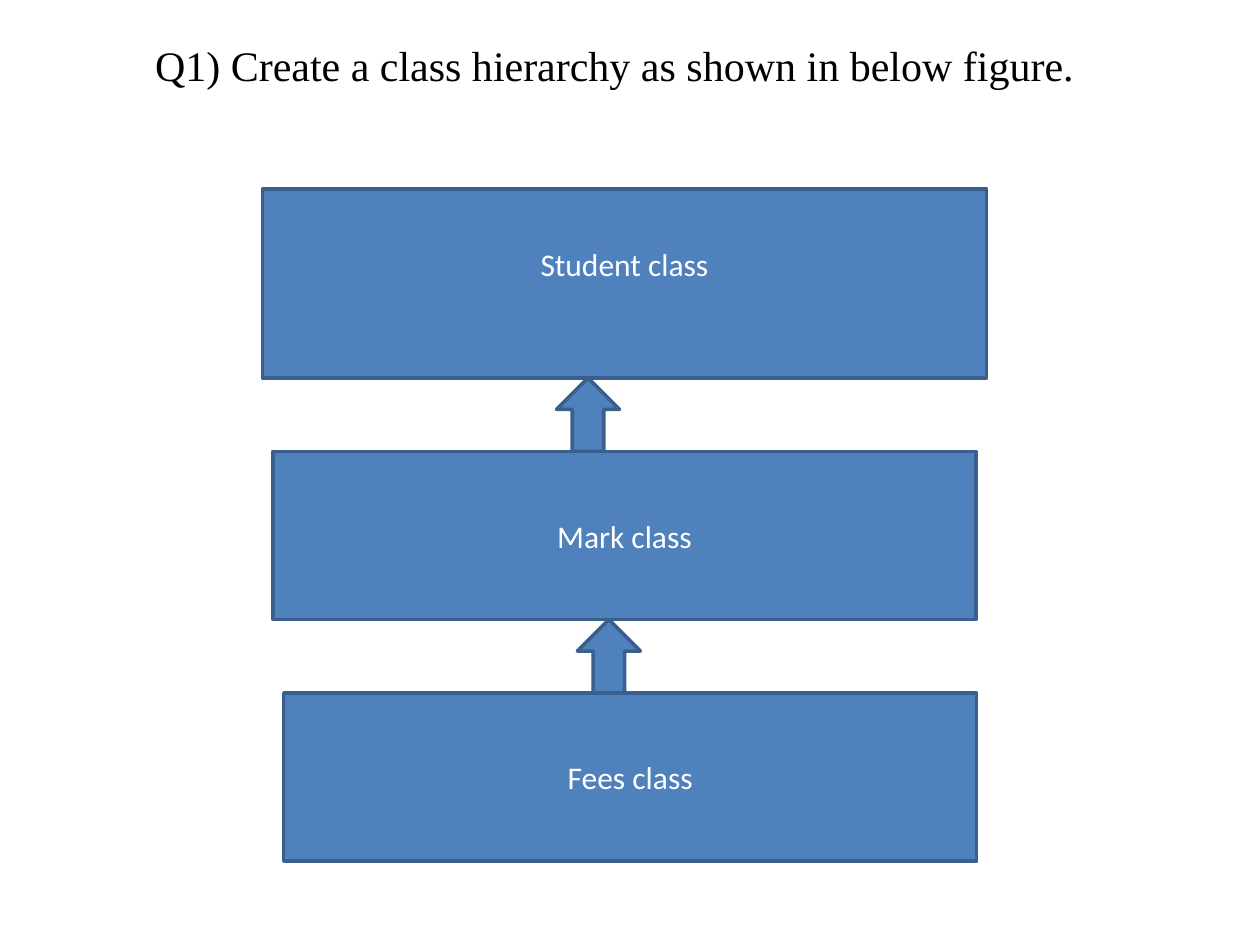
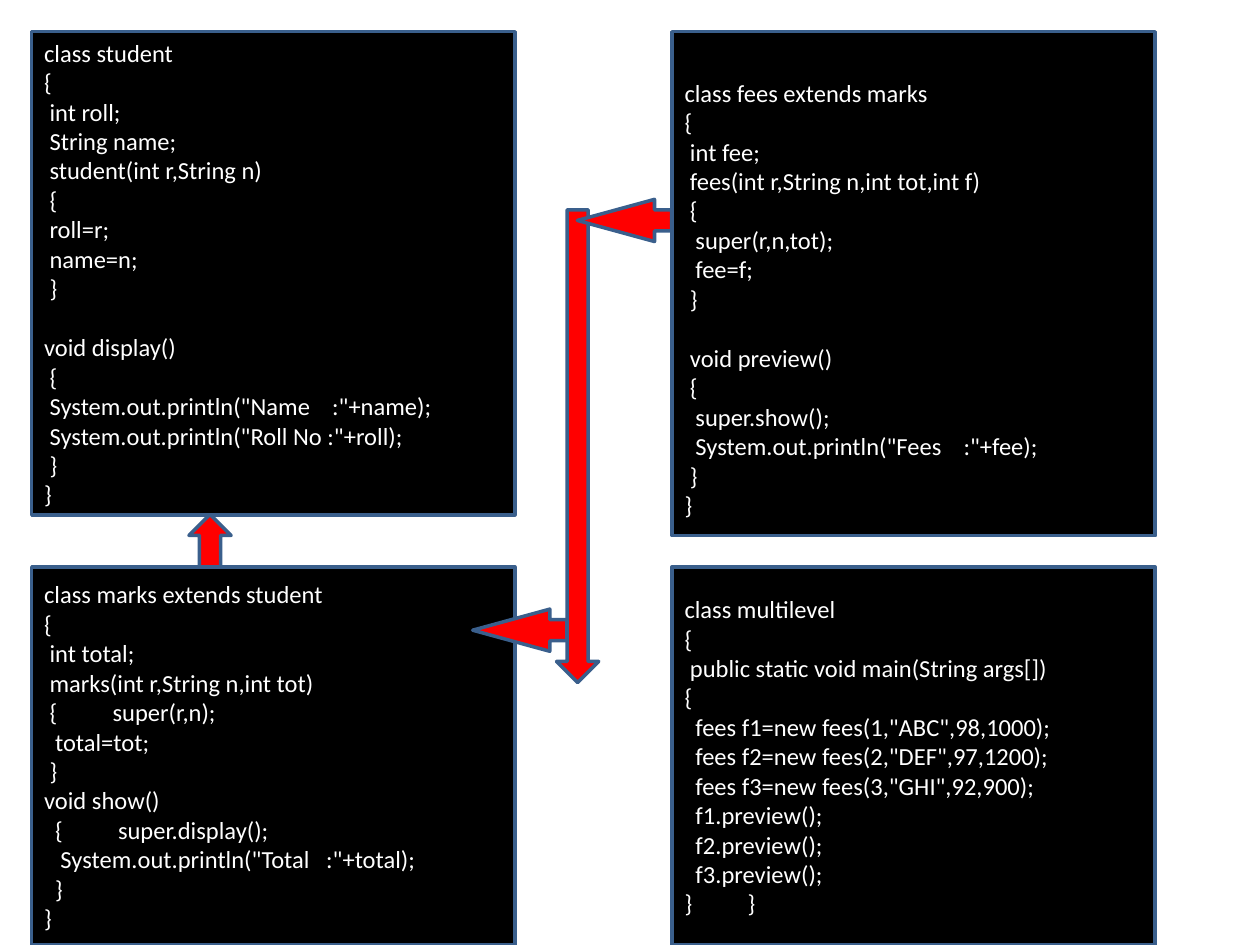
from lxml.etree import SubElement
from pptx import Presentation
from pptx.dml.color import RGBColor
from pptx.enum.shapes import MSO_SHAPE
from pptx.enum.text import MSO_ANCHOR, PP_ALIGN
from pptx.oxml.ns import qn
from pptx.util import Cm, Pt

COLORS = {
    "blue": "4F81BD",
    "outline": "3A5F8C",
    "black": "000000",
    "white": "FFFFFF",
    "red": "FF0000",
}
INSET = 0.13
CODE_LINE = 0.6
SPACE_WIDTH = 0.11
TAB_GAP = 0.5

STUDENT_CODE = """class student
{
 int roll;
 String name;
 student(int r,String n)
 {
 roll=r;
 name=n;
 }

void display()
 {
 System.out.println("Name    :"+name);
 System.out.println("Roll No :"+roll);
 }
}"""

MARKS_CODE = """class marks extends student
{
 int total;
 marks(int r,String n,int tot)
 {\tsuper(r,n);
  total=tot;
 }
void show()
  {\tsuper.display();
   System.out.println("Total   :"+total);
  }
}"""

FEES_CODE = """class fees extends marks
{
 int fee;
 fees(int r,String n,int tot,int f)
 {
  super(r,n,tot);
  fee=f;
 }

 void preview()
 {
  super.show();
  System.out.println("Fees    :"+fee);
 }
}"""

MULTILEVEL_CODE = """class multilevel
{
 public static void main(String args[])
{
  fees f1=new fees(1,"ABC",98,1000);
  fees f2=new fees(2,"DEF",97,1200);
  fees f3=new fees(3,"GHI",92,900);
  f1.preview();
  f2.preview();
  f3.preview();
}\t}"""


def indent_paragraph(paragraph, indent):
    properties = paragraph._p.get_or_add_pPr()
    properties.set("marL", str(Cm(indent)))
    properties.set("indent", "0")
    if "\t" in paragraph.text:
        tabs = SubElement(properties, qn("a:tabLst"))
        SubElement(tabs, qn("a:tab"), pos=str(Cm(indent + TAB_GAP)), algn="l")


def write_text(shape, text, size=18, font="Calibri", color="white",
               align=PP_ALIGN.CENTER, extra_top=0, extra_bottom=0):
    frame = shape.text_frame
    frame.word_wrap = True
    frame.vertical_anchor = MSO_ANCHOR.MIDDLE
    frame.margin_top = Cm(INSET + extra_top)
    frame.margin_bottom = Cm(INSET + extra_bottom)
    paragraph, gap = frame.paragraphs[0], 0
    for number, line in enumerate(text.split("\n")):
        if not line:
            gap += CODE_LINE
            continue
        if number:
            paragraph = frame.add_paragraph()
        content = line.lstrip(" ")
        run = paragraph.add_run()
        run.text = content
        run.font.size = Pt(size)
        run.font.name = font
        run.font.color.rgb = RGBColor.from_string(COLORS[color])
        paragraph.alignment = align
        paragraph.space_before = Cm(gap)
        indent_paragraph(paragraph, (len(line) - len(content)) * SPACE_WIDTH)
        gap = 0


def add_outlined_shape(slide, kind, left, top, width, height, fill):
    shape = slide.shapes.add_shape(kind, Cm(left), Cm(top), Cm(width), Cm(height))
    shape.shadow.inherit = False
    shape.fill.solid()
    shape.fill.fore_color.rgb = RGBColor.from_string(COLORS[fill])
    shape.line.color.rgb = RGBColor.from_string(COLORS["outline"])
    shape.line.width = Pt(2)
    return shape


def add_box(slide, text, left, top, width, height, fill="blue", **text_format):
    box = add_outlined_shape(slide, MSO_SHAPE.RECTANGLE, left, top, width, height, fill)
    write_text(box, text, **text_format)


def add_code_box(slide, code, left, top, height, extra_top=0):
    add_box(slide, code, left, top, 9.74, height, fill="black", size=14,
            align=PP_ALIGN.LEFT, extra_top=extra_top)


def add_left_arrow(slide, left, top):
    arrow = add_outlined_shape(slide, MSO_SHAPE.LEFT_ARROW, left, top, 1.9, 0.85, "red")
    arrow.adjustments[1] = 1.83


def add_title(slide, text):
    title = slide.shapes.add_textbox(Cm(0.64), Cm(0.2), Cm(23.5), Cm(2.22))
    write_text(title, text, size=24, font="Times New Roman", color="black")


def build_hierarchy_slide(slide):
    add_box(slide, "Fees class", 5.72, 13.97, 13.97, 3.39)
    add_box(slide, "Mark class", 5.5, 9.1, 14.18, 3.39)
    add_box(slide, "Student class", 5.29, 3.81, 14.6, 3.81, extra_bottom=0.77)
    for left, top in ((11.64, 12.49), (11.22, 7.62)):
        add_outlined_shape(slide, MSO_SHAPE.UP_ARROW, left, top, 1.27, 1.48, "blue")
    add_title(slide, "Q1) Create a class hierarchy as shown in below figure.")


def build_code_slide(slide):
    left_column, right_column = 0.64, 13.55
    upper_row, lower_row = 0.64, 11.43
    add_code_box(slide, STUDENT_CODE, left_column, upper_row, 9.74)
    add_code_box(slide, MARKS_CODE, left_column, lower_row, 7.62)
    add_outlined_shape(slide, MSO_SHAPE.UP_ARROW, 3.81, 10.37, 0.85, 1.06, "red")
    add_code_box(slide, FEES_CODE, right_column, upper_row, 10.16, extra_top=CODE_LINE)
    add_outlined_shape(slide, MSO_SHAPE.DOWN_ARROW, 11.22, 4.23, 0.85, 9.53, "red")
    add_left_arrow(slide, 11.64, 4.02)
    add_left_arrow(slide, 9.53, 12.28)
    add_code_box(slide, MULTILEVEL_CODE, right_column, lower_row, 7.62)


def main():
    presentation = Presentation()
    presentation.slide_width = Cm(25.4)
    presentation.slide_height = Cm(19.05)
    blank_layout = presentation.slide_layouts[6]
    for build_slide in (build_hierarchy_slide, build_code_slide):
        build_slide(presentation.slides.add_slide(blank_layout))
    presentation.save("out.pptx")


if __name__ == "__main__":
    main()
